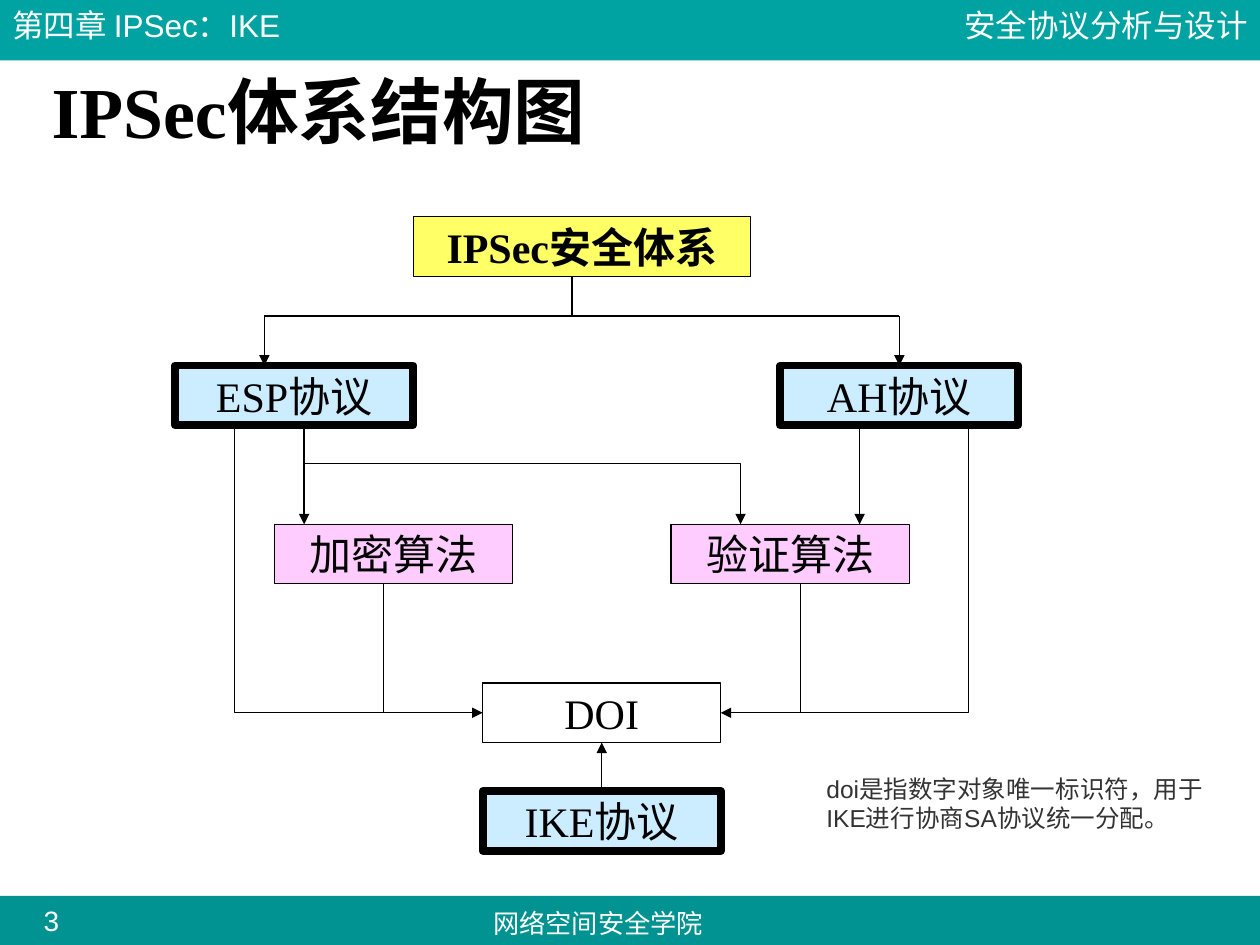
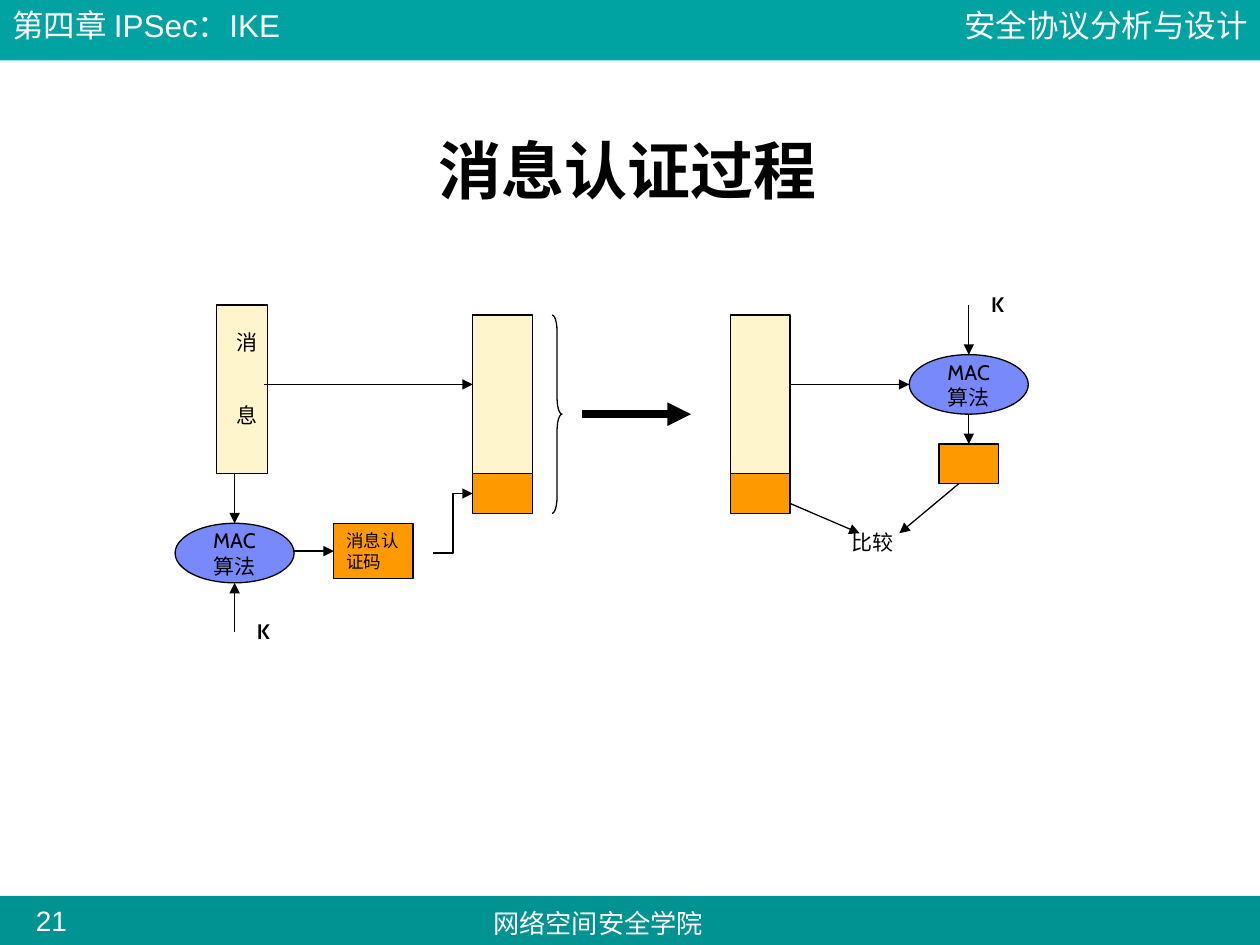
"""Builds two IPSec slides: the architecture chart and the message authentication flow."""
from dataclasses import dataclass

from lxml import etree
from pptx import Presentation
from pptx.dml.color import RGBColor
from pptx.enum import shapes, text
from pptx.oxml import ns
from pptx.util import Cm, Pt

RECT = shapes.MSO_SHAPE.RECTANGLE
OVAL = shapes.MSO_SHAPE.OVAL
BRACE = shapes.MSO_SHAPE.RIGHT_BRACE
LEFT, CENTER, RIGHT = text.PP_ALIGN.LEFT, text.PP_ALIGN.CENTER, text.PP_ALIGN.RIGHT
TOP, MIDDLE = text.MSO_ANCHOR.TOP, text.MSO_ANCHOR.MIDDLE


@dataclass(frozen=True)
class Theme:
    header: str = "00A3A1"
    footer: str = "009391"
    white: str = "FFFFFF"
    ink: str = "000000"
    note: str = "333333"
    root: str = "FFFF66"
    protocol: str = "CCECFF"
    algorithm: str = "FFCCFF"
    message: str = "FFF5CD"
    code: str = "FF9900"
    mac: str = "7889FB"
    sans: str = "Arial"
    serif: str = "Times New Roman"
    label: str = "Cabin"
    title_size: float = 41
    subtitle_size: float = 36
    box_size: float = 24
    header_size: float = 18
    number_size: float = 16
    footer_size: float = 15
    note_size: float = 14
    label_size: float = 12
    code_size: float = 10
    thin: float = 0.75
    thick: float = 4.5


class Deck:
    def __init__(self, theme):
        self.t = theme
        self.prs = Presentation()
        self.prs.slide_width, self.prs.slide_height = Cm(25.4), Cm(19.05)
        self.s = None

    def slide(self, number):
        t = self.t
        self.s = self.prs.slides.add_slide(self.prs.slide_layouts[6])
        self.shape(RECT, 0, 18.06, 25.4, 0.99, t.footer, None)
        self.shape(RECT, 0, 0, 25.4, 1.22, t.header, None)
        bar = dict(font=t.sans, color=t.white)
        self.text("第四章 IPSec：IKE", 0, 0, 7.82, 1.02, t.header_size, **bar)
        self.text("安全协议分析与设计", 17.58, 0, 7.82, 1.02, t.header_size, align=RIGHT, **bar)
        self.text("网络空间安全学院", 9.09, 18.16, 5.94, 0.89, t.footer_size, align=CENTER, **bar)
        self.text(str(number), 0.36, 18.21, 1.35, 0.69, t.number_size, align=CENTER,
                  margins=(0, 0), **bar)

    def set_text(self, sp, words, size, font, color=None, bold=False, align=LEFT,
                 anchor=TOP, wrap=True, margins=(0.25, 0.13), spacing=None, gap=0):
        tf = sp.text_frame
        tf.text = words
        tf.word_wrap = wrap
        tf.vertical_anchor = anchor
        tf.margin_left = tf.margin_right = Cm(margins[0])
        tf.margin_top = tf.margin_bottom = Cm(margins[1])
        for i, p in enumerate(tf.paragraphs):
            p.alignment = align
            p.line_spacing = spacing
            if i and gap:
                p.space_before = Pt(gap)
            for r in p.runs:
                r.font.name, r.font.size, r.font.bold = font, Pt(size), bold
                r.font.color.rgb = RGBColor.from_string(color or self.t.ink)

    def text(self, words, x, y, w, h, size, **style):
        sp = self.s.shapes.add_textbox(Cm(x), Cm(y), Cm(w), Cm(h))
        self.set_text(sp, words, size, **style)

    def title(self, words, x, y, size, font, align=LEFT):
        self.text(words, x, y, 22.91, 1.7, size, font=font, bold=True, align=align,
                  anchor=MIDDLE, spacing=0.9)

    def paint(self, sp, fill, weight):
        sp.shadow.inherit = False
        if fill:
            sp.fill.solid()
            sp.fill.fore_color.rgb = RGBColor.from_string(fill)
        else:
            sp.fill.background()
        if weight:
            self.stroke(sp, weight)
        else:
            sp.line.fill.background()

    def stroke(self, sp, weight, arrow=False):
        sp.line.color.rgb = RGBColor.from_string(self.t.ink)
        sp.line.width = Pt(weight)
        if arrow:
            ln = sp._element.spPr.find(ns.qn("a:ln"))
            etree.SubElement(ln, ns.qn("a:tailEnd"), type="triangle")

    def shape(self, kind, x, y, w, h, fill, weight=Theme.thin):
        sp = self.s.shapes.add_shape(kind, Cm(x), Cm(y), Cm(w), Cm(h))
        self.paint(sp, fill, weight)
        return sp

    def box(self, words, x, y, fill, w=4.8, weight=Theme.thin, bold=False):
        sp = self.shape(RECT, x, y, w, 1.2, fill, weight)
        self.set_text(sp, words, self.t.box_size, self.t.serif, bold=bold, align=CENTER,
                      anchor=MIDDLE, wrap=False)
        return sp

    def line(self, x1, y1, x2, y2, arrow=True, weight=Theme.thin, start=None, end=None,
             kind=shapes.MSO_CONNECTOR.STRAIGHT):
        c = self.s.shapes.add_connector(kind, Cm(x1), Cm(y1), Cm(x2), Cm(y2))
        if start:
            c.begin_connect(*start)
        if end:
            c.end_connect(*end)
        self.stroke(c, weight, arrow)
        etree.SubElement(c._element.spPr, ns.qn("a:effectLst"))

    def route(self, *points):
        pts = [(Cm(x), Cm(y)) for x, y in points]
        fb = self.s.shapes.build_freeform(*pts[0])
        fb.add_line_segments(pts[1:], close=False)
        sp = fb.convert_to_shape()
        sp.fill.background()
        self.stroke(sp, self.t.thin, arrow=True)
        sp.shadow.inherit = False

    def mac(self, x, y):
        sp = self.shape(OVAL, x, y, 2.4, 1.2, self.t.mac)
        self.set_text(sp, "MAC\n算法", self.t.label_size, self.t.label, align=CENTER,
                      anchor=MIDDLE, wrap=False)

    def label(self, words, x, y, w, bold=False):
        self.text(words, x, y, w, 0.76, self.t.label_size, font=self.t.label, bold=bold)

    def packet(self, x):
        code = self.shape(RECT, x, 9.55, 1.2, 0.8, self.t.code)
        self.shape(RECT, x, 6.35, 1.2, 3.2, self.t.message)
        return code


def architecture(d):
    t = d.t
    d.slide(3)
    d.title("IPSec体系结构图", 0.79, 1.47, t.title_size, t.serif)
    d.box("IPSec安全体系", 8.33, 4.37, t.root, w=6.8, bold=True)
    d.box("ESP协议", 3.53, 7.37, t.protocol, weight=t.thick)
    ah = d.box("AH协议", 15.73, 7.37, t.protocol, weight=t.thick)
    d.box("加密算法", 5.53, 10.57, t.algorithm)
    d.box("验证算法", 13.53, 10.57, t.algorithm)
    doi = d.box("DOI", 9.73, 13.77, None)
    ike = d.box("IKE协议", 9.73, 15.95, t.protocol, weight=t.thick)

    d.line(11.53, 5.57, 11.53, 6.37, arrow=False)
    d.line(5.33, 6.37, 18.13, 6.37, arrow=False)
    d.line(5.33, 6.37, 5.33, 7.37)
    d.line(18.13, 6.37, 18.13, 7.37, end=(ah, 0))
    for x in (6.13, 17.33):
        d.line(x, 8.57, x, 10.57)
    d.route((6.13, 9.35), (14.93, 9.35), (14.93, 10.57))
    for x in (7.73, 16.13):
        d.line(x, 11.77, x, 14.37, arrow=False)
    for x, side in ((4.73, 9.73), (19.53, 14.53)):
        d.route((x, 8.57), (x, 14.37), (side, 14.37))
    d.line(12.13, 15.95, 12.13, 14.97, start=(ike, 0), end=(doi, 2))
    d.text("doi是指数字对象唯一标识符，用于IKE进行协商SA协议统一分配。", 16.41, 15.47, 8.23, 1.45,
           t.note_size, font=t.sans, color=t.note)


def authentication(d):
    t = d.t
    d.slide(21)
    d.title("消息认证过程", 1.19, 2.67, t.subtitle_size, t.sans, CENTER)

    message = d.shape(RECT, 4.37, 6.15, 1.02, 3.4, t.message)
    d.set_text(message, "消\n息", t.label_size, t.label, margins=(0.4, 0.5), gap=27, wrap=False)
    d.mac(3.53, 10.55)
    code = d.shape(RECT, 6.73, 10.55, 1.6, 1.12, t.code)
    d.set_text(code, "消息认证码", t.code_size, t.label)
    d.label("K", 4.93, 12.34, 1.2, bold=True)
    sent = d.packet(9.53)
    d.line(4.73, 9.55, 4.73, 10.55)
    d.line(4.73, 12.75, 4.73, 11.75)
    d.line(5.93, 11.11, 6.73, 11.11, end=(code, 1))
    d.line(5.33, 7.75, 9.53, 7.75)
    d.line(8.73, 11.15, sent.left.cm, 9.95, kind=shapes.MSO_CONNECTOR.ELBOW)

    brace = d.shape(BRACE, 11.13, 6.35, 0.2, 4, None)
    brace.adjustments[0] = 1.65
    d.line(11.73, 8.35, 13.93, 8.35, weight=t.thick)

    d.packet(14.73)
    d.mac(18.33, 7.15)
    check = d.shape(RECT, 18.93, 8.95, 1.2, 0.8, t.code)
    d.label("K", 19.73, 5.75, 1.2, bold=True)
    d.label("比较", 16.92, 10.55, 2.2)
    d.line(15.93, 7.75, 18.33, 7.75)
    d.line(19.53, 6.15, 19.53, 7.15)
    d.line(19.53, 8.35, 19.53, 8.95, end=(check, 0))
    d.line(15.93, 10.15, 17.33, 10.75)
    d.line(19.33, 9.75, 18.13, 10.75)


def main():
    d = Deck(Theme())
    architecture(d)
    authentication(d)
    d.prs.save("out.pptx")


if __name__ == "__main__":
    main()
